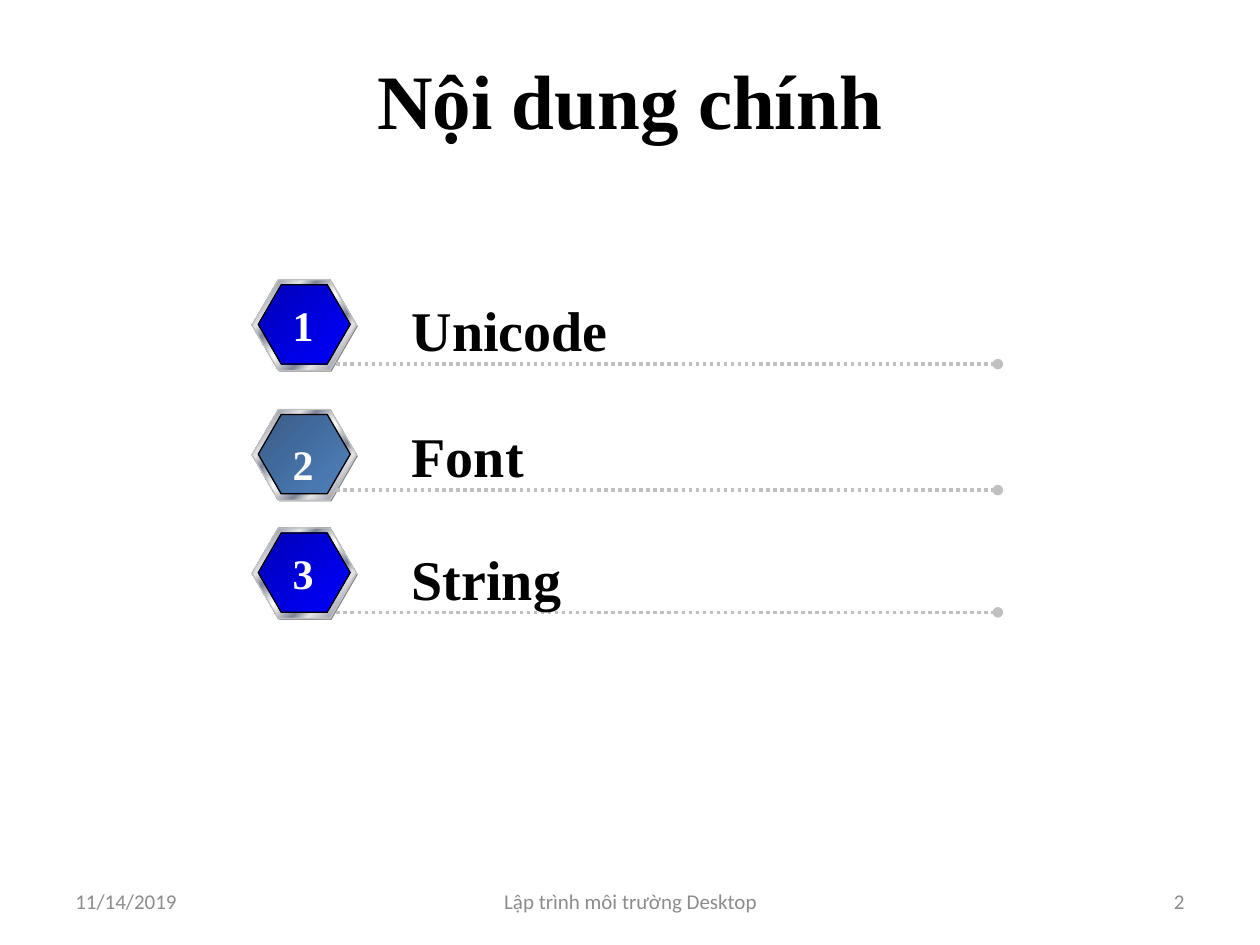
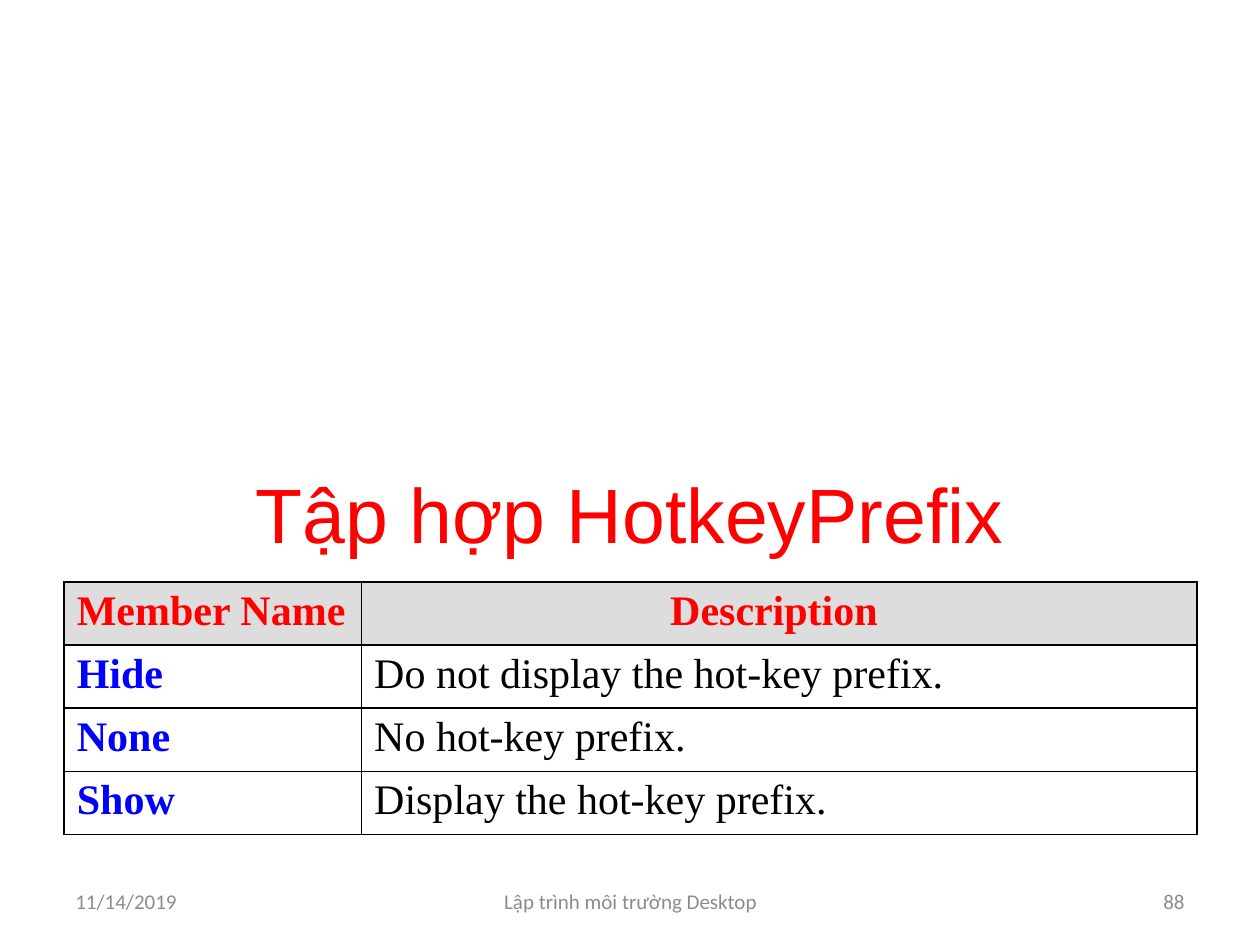
import pptx
import pptx.util
import pptx.dml.color
import pptx.enum.dml
import pptx.enum.shapes
import pptx.enum.text
import pptx.oxml.ns
from lxml import etree

Inches, Pt = pptx.util.Inches, pptx.util.Pt
RGBColor = pptx.dml.color.RGBColor
Align = pptx.enum.text.PP_ALIGN
Anchor = pptx.enum.text.MSO_ANCHOR
qn = pptx.oxml.ns.qn

BLACK = RGBColor(0x00, 0x00, 0x00)
WHITE = RGBColor(0xFF, 0xFF, 0xFF)
RED = RGBColor(0xFF, 0x00, 0x00)
BLUE = RGBColor(0x00, 0x00, 0xFF)
NAVY = RGBColor(0x00, 0x00, 0xB6)
STEEL = RGBColor(0x4F, 0x81, 0xBD)
DARK_STEEL = RGBColor(0x39, 0x5C, 0x87)
SILVER = RGBColor(0xC0, 0xC0, 0xC0)
SHADE = RGBColor(0x80, 0x80, 0x80)
HEADER_FILL = RGBColor(0xDD, 0xDD, 0xDD)
FOOTER_GREY = RGBColor(0x8C, 0x8C, 0x8C)
LIGHT = RGBColor(0xE6, 0xE6, 0xE6)
SLATE = RGBColor(0x7D, 0x84, 0x96)

CHROME = [(0, LIGHT), (7, SLATE), (26, LIGHT), (34, SLATE), (46, LIGHT), (50, WHITE),
          (54, LIGHT), (66, SLATE), (74, LIGHT), (93, SLATE), (100, LIGHT)]
BLUE_FADE = [(0, NAVY), (100, BLUE)]
STEEL_FADE = [(0, DARK_STEEL), (100, STEEL)]

SERIF, SANS, FOOTER_FONT = "Times New Roman", "Arial", "Calibri"


class Deck:
    def __init__(self):
        self.prs = pptx.Presentation()
        self.prs.slide_width, self.prs.slide_height = Inches(10), Inches(7.5)
        self.slide = None

    def new_slide(self, number):
        self.slide = self.prs.slides.add_slide(self.prs.slide_layouts[6])
        footers = [(0.5, 2.33, "11/14/2019", Align.LEFT),
                   (3.42, 3.17, "Lập trình môi trường Desktop", Align.CENTER),
                   (7.17, 2.33, str(number), Align.RIGHT)]
        for left, width, text, align in footers:
            self.text(text, left, 6.95, width, 0.4, 12, FOOTER_GREY, FOOTER_FONT,
                      align=align, anchor=Anchor.MIDDLE)

    def style(self, p, size, color, font=SERIF, bold=False, align=Align.LEFT):
        p.alignment = align
        p.font.size, p.font.name, p.font.bold = Pt(size), font, bold
        p.font.color.rgb = color

    def text(self, text, left, top, width, height, size, color, font=SERIF, bold=False,
             align=Align.LEFT, anchor=Anchor.TOP, wrap=True):
        sp = self.slide.shapes.add_textbox(Inches(left), Inches(top), Inches(width), Inches(height))
        tf = sp.text_frame
        tf.word_wrap, tf.vertical_anchor = wrap, anchor
        if not wrap:
            tf.auto_size = pptx.enum.text.MSO_AUTO_SIZE.SHAPE_TO_FIT_TEXT
        p = tf.paragraphs[0]
        p.text = text
        self.style(p, size, color, font, bold, align)

    def title(self, text, top, color, font, bold=False):
        self.text(text, 0.5, top, 9, 1.25, 44, color, font, bold, Align.CENTER, Anchor.MIDDLE)

    def hexagon(self, group, left, top, width, height, fill, line=None):
        """Add a hexagon filled with one colour or a list of gradient stops."""
        sp = group.shapes.add_shape(pptx.enum.shapes.MSO_SHAPE.HEXAGON, Inches(left),
                                    Inches(top), Inches(width), Inches(height))
        sp.shadow.inherit = False
        sp.adjustments[0] = 0.29
        if isinstance(fill, list):
            sp.fill.gradient()
            sp.fill.gradient_angle = 315
            stops = sp._element.spPr.find(".//" + qn("a:gsLst"))
            stops.clear()
            for percent, color in fill:
                gs = etree.SubElement(stops, qn("a:gs"), pos=str(percent * 1000))
                etree.SubElement(gs, qn("a:srgbClr"), val=str(color))
        else:
            sp.fill.solid()
            sp.fill.fore_color.rgb = fill
        if line is None:
            sp.line.fill.background()
        else:
            sp.line.color.rgb, sp.line.width = line, Pt(0.75)

    def badge(self, top, fade):
        group = self.slide.shapes.add_group_shape()
        self.hexagon(group, 2.01, top + 0.01, 0.83, 0.72, SHADE)
        self.hexagon(group, 2, top, 0.83, 0.72, CHROME, SILVER)
        self.hexagon(group, 2.05, top + 0.04, 0.73, 0.63, fade, BLACK)

    def dotted_line(self, y):
        line = self.slide.shapes.add_connector(pptx.enum.shapes.MSO_CONNECTOR.STRAIGHT,
                                               Inches(2.67), Inches(y), Inches(7.92), Inches(y))
        line.line.color.rgb, line.line.width = SILVER, Pt(2)
        line.line.dash_style = pptx.enum.dml.MSO_LINE.ROUND_DOT
        spPr = line._element.spPr
        etree.SubElement(spPr.find(qn("a:ln")), qn("a:tailEnd"), type="oval")
        etree.SubElement(spPr, qn("a:effectLst"))

    def cell(self, cell, text, color, bold, align=Align.LEFT, fill=None):
        p = cell.text_frame.paragraphs[0]
        p.text = text
        self.style(p, 24, color, SERIF, bold, align)
        # Borders come before the fill in the cell properties
        tcPr = cell._tc.get_or_add_tcPr()
        for side in ("lnL", "lnR", "lnT", "lnB"):
            ln = etree.SubElement(tcPr, qn("a:" + side), w=str(Pt(1)))
            solid = etree.SubElement(ln, qn("a:solidFill"))
            etree.SubElement(solid, qn("a:srgbClr"), val=str(BLACK))
        if fill is None:
            cell.fill.background()
        else:
            cell.fill.solid()
            cell.fill.fore_color.rgb = fill

    def table(self, header, rows, left, top, widths, row_height):
        table = self.slide.shapes.add_table(
            len(rows) + 1, len(widths), Inches(left), Inches(top),
            Inches(sum(widths)), Inches(row_height * (len(rows) + 1))).table
        for column, width in zip(table.columns, widths):
            column.width = Inches(width)
        for i, (text, align) in enumerate(header):
            self.cell(table.cell(0, i), text, RED, True, align, HEADER_FILL)
        for i, (name, description) in enumerate(rows, 1):
            self.cell(table.cell(i, 0), name, BLUE, True)
            self.cell(table.cell(i, 1), description, BLACK, False)


def main():
    deck = Deck()

    # Agenda
    deck.new_slide(2)
    deck.title("Nội dung chính", 0.16, BLACK, SERIF, bold=True)
    topics = [("Unicode", 1.77, 2.22, 2.89, 2.33, BLUE_FADE),
              ("Font", 1.1, 3.25, 3.89, 3.43, STEEL_FADE),
              ("String", 1.4, 4.19, 4.86, 4.3, BLUE_FADE)]
    for number, (topic, width, badge_top, line_y, number_top, fade) in enumerate(topics, 1):
        deck.badge(badge_top, fade)
        deck.dotted_line(line_y)
        deck.text(topic, 3.17, line_y - 0.59, width, 0.64, 32, BLACK, bold=True, wrap=False)
        deck.text(str(number), 2.22, number_top, 0.37, 0.5, 24, WHITE, bold=True,
                  align=Align.CENTER, wrap=False)

    # HotkeyPrefix members
    deck.new_slide(88)
    deck.table([("Member Name", Align.LEFT), ("Description ", Align.CENTER)],
               [("Hide", "Do not display the hot-key prefix."),
                ("None", "No hot-key prefix."),
                ("Show", "Display the hot-key prefix.")],
               0.51, 4.62, [2.36, 6.63], 0.47)
    deck.title("Tập hợp HotkeyPrefix", 3.44, RED, SANS)

    deck.prs.save("out.pptx")


if __name__ == "__main__":
    main()
